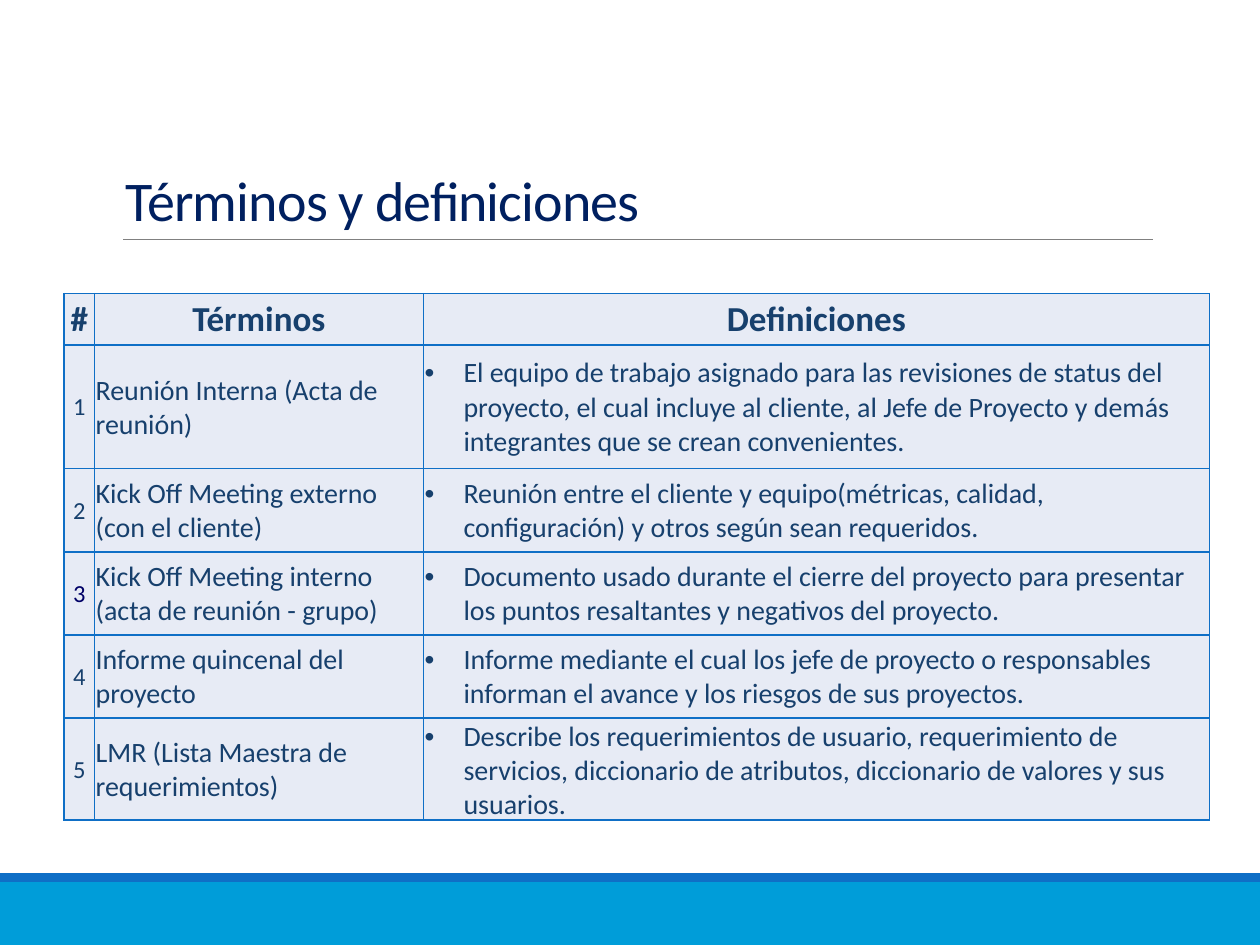
from lxml.etree import SubElement as Sub
from pptx import Presentation
from pptx.dml.color import RGBColor as RGB
from pptx.enum.shapes import MSO_CONNECTOR as Link, MSO_SHAPE as Shape
from pptx.enum.text import MSO_ANCHOR as Anchor, PP_ALIGN as Align
from pptx.oxml.ns import qn
from pptx.util import Inches, Pt

COLORS = {
    "sky": "009DD9", "blue": "0F6FC6", "rule": "808080", "title": "002060",
    "text": "17406D", "third": "000066", "cell": "E7EBF5",
}
COLS = [0.24, 2.61, 6.24]
ROWS = [0.41, 0.98, 0.66, 0.66, 0.66, 0.71]
HEADS = ["#", "Términos", "Definiciones"]
TERMS = [
    ("Reunión Interna (Acta de reunión)",
     "El equipo de trabajo asignado para las revisiones de status del proyecto, "
     "el cual incluye al cliente, al Jefe de Proyecto y demás integrantes que se "
     "crean convenientes."),
    ("Kick Off Meeting externo (con el cliente)",
     "Reunión entre el cliente y equipo(métricas, calidad, configuración) y otros "
     "según sean requeridos."),
    ("Kick Off Meeting interno (acta de reunión - grupo)",
     "Documento usado durante el cierre del proyecto para presentar los puntos "
     "resaltantes y negativos del proyecto."),
    ("Informe quincenal del proyecto",
     "Informe mediante el cual los jefe de proyecto o responsables informan el "
     "avance y los riesgos de sus proyectos."),
    ("LMR (Lista Maestra de requerimientos)",
     "Describe los requerimientos de usuario, requerimiento de servicios, "
     "diccionario de atributos, diccionario de valores y sus usuarios."),
]


def color(name):
    return RGB.from_string(COLORS[name])


def write(frame, text, size=16, tint="text", bold=False, align=Align.LEFT,
          bullet=False, space=None, pitch=None):
    para = frame.paragraphs[0]
    para.alignment = align
    if pitch:
        para.line_spacing = pitch
    if bullet:
        props = para._p.get_or_add_pPr()
        props.set("marL", str(Inches(0.31)))
        props.set("indent", str(-Inches(0.31)))
        Sub(props, qn("a:buFont"), typeface="Arial")
        Sub(props, qn("a:buChar"), char="•")
    run = para.add_run()
    run.text = text
    font = run.font
    font.name, font.size, font.bold = "Calibri", Pt(size), bold
    font.color.rgb = color(tint)
    if space:
        run._r.get_or_add_rPr().set("spc", str(round(space * 100)))


def add_band(slide, top, height, tint):
    band = slide.shapes.add_shape(
        Shape.RECTANGLE, 0, Inches(top), Inches(10), Inches(height))
    band.shadow.inherit = False
    band.fill.solid()
    band.fill.fore_color.rgb = color(tint)
    band.line.fill.background()


def add_rule(slide, left, right, top):
    rule = slide.shapes.add_connector(
        Link.STRAIGHT, Inches(left), Inches(top), Inches(right), Inches(top))
    rule.line.color.rgb = color("rule")
    rule.line.width = Pt(0.5)
    Sub(rule._element.spPr, qn("a:effectLst"))


def add_title(slide, text):
    box = slide.shapes.add_textbox(
        Inches(0.9), Inches(0.31), Inches(8.25), Inches(1.59))
    frame = box.text_frame
    frame.word_wrap = True
    frame.vertical_anchor = Anchor.BOTTOM
    write(frame, text, size=32, tint="title", space=-0.5, pitch=0.85)


def style_cell(cell):
    cell.vertical_anchor = Anchor.MIDDLE
    cell.margin_left = cell.margin_right = cell.margin_top = Inches(0.01)
    cell.margin_bottom = 0
    props = cell._tc.get_or_add_tcPr()
    for side in ("lnL", "lnR", "lnT", "lnB"):
        edge = Sub(props, qn(f"a:{side}"), w=str(Pt(1)))
        fill = Sub(edge, qn("a:solidFill"))
        Sub(fill, qn("a:srgbClr"), val=COLORS["blue"])
    cell.fill.solid()
    cell.fill.fore_color.rgb = color("cell")


def add_terms(slide):
    table = slide.shapes.add_table(
        len(ROWS), len(COLS), Inches(0.51), Inches(2.33),
        Inches(sum(COLS)), Inches(sum(ROWS))).table
    for col, width in zip(table.columns, COLS):
        col.width = Inches(width)
    for row, height in zip(table.rows, ROWS):
        row.height = Inches(height)
    for cell in table.iter_cells():
        style_cell(cell)

    # Header row
    for col, head in enumerate(HEADS):
        write(table.cell(0, col).text_frame, head, size=20, bold=True,
              align=Align.CENTER)

    # Numbered terms
    for num, (term, sense) in enumerate(TERMS, 1):
        frames = [table.cell(num, col).text_frame for col in range(3)]
        write(frames[0], str(num), size=14, align=Align.CENTER,
              tint="third" if num == 3 else "text")
        write(frames[1], term)
        write(frames[2], sense, bullet=True)


def main():
    deck = Presentation()
    deck.slide_width, deck.slide_height = Inches(10), Inches(7.5)
    slide = deck.slides.add_slide(deck.slide_layouts[6])

    # Footer bands
    add_band(slide, 7, 0.5, "sky")
    add_band(slide, 6.93, 0.07, "blue")

    # Heading
    add_rule(slide, 0.98, 9.15, 1.9)
    add_title(slide, "Términos y definiciones")

    # Glossary
    add_terms(slide)
    deck.save("out.pptx")


if __name__ == "__main__":
    main()
